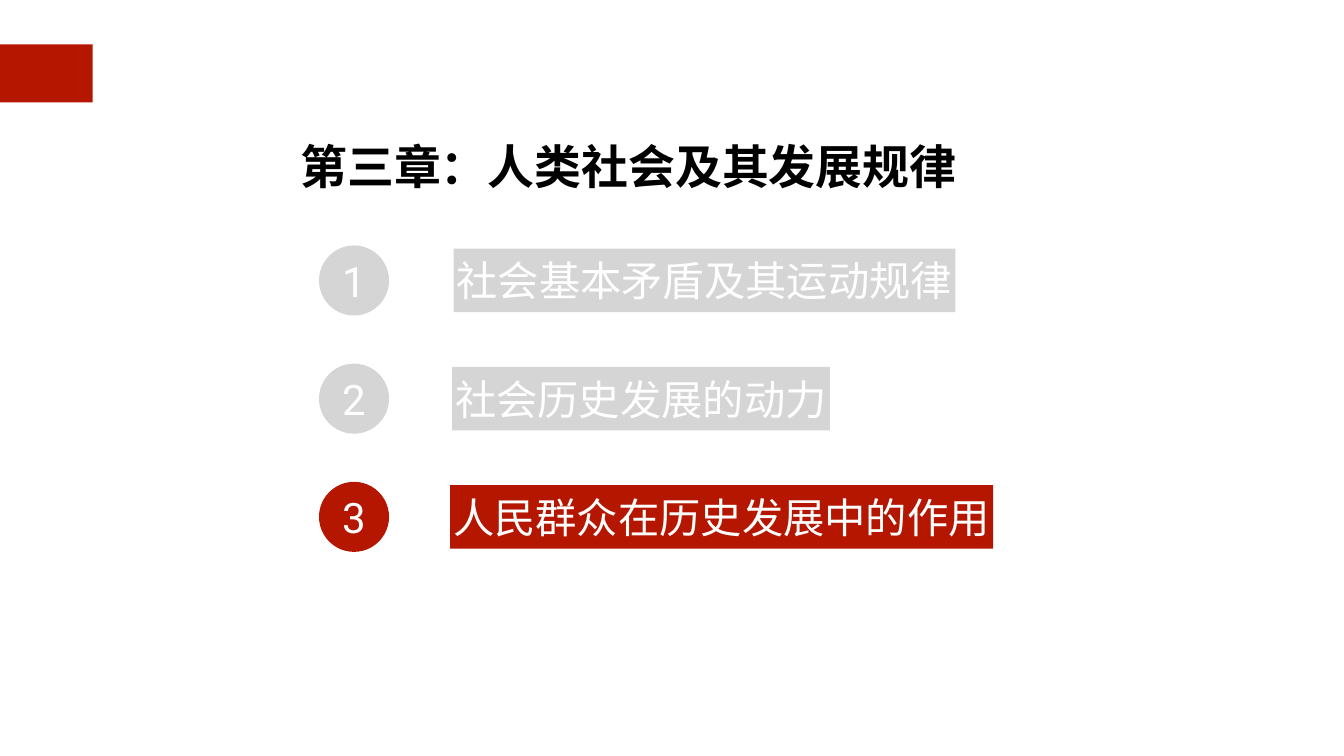
from pptx import Presentation
from pptx.dml.color import RGBColor
from pptx.enum.shapes import MSO_SHAPE
from pptx.enum.text import MSO_ANCHOR, MSO_AUTO_SIZE, PP_ALIGN
from pptx.oxml.ns import qn
from pptx.util import Inches, Pt

RED = RGBColor(0xB5, 0x16, 0x00)
GRAY = RGBColor(0xD5, 0xD5, 0xD5)
WHITE = RGBColor(0xFF, 0xFF, 0xFF)
BLACK = RGBColor(0x00, 0x00, 0x00)

PAGE_WIDTH, PAGE_HEIGHT = 26.67, 15
BANNER_HEIGHT = 1.26
CIRCLE_SIZE = 1.39
ROW_PITCH = 2.345
SECTIONS = [
    ("社会基本矛盾及其运动规律", 2.67, 9.96, GRAY),
    ("社会历史发展的动力", 2.64, 7.5, GRAY),
    ("人民群众在历史发展中的作用", 2.6, 10.78, RED),
]


def add_block(page, kind, box, fill):
    block = page.shapes.add_shape(kind, *[Inches(length) for length in box])
    block.shadow.inherit = False
    block.fill.solid()
    block.fill.fore_color.rgb = fill
    block.line.fill.background()
    return block


def write_text(shape, text, size, font="Roboto", color=WHITE, bold=False,
               align=PP_ALIGN.CENTER, inset=0.06, grow=True, spacing=None):
    frame = shape.text_frame
    frame.word_wrap = not grow
    frame.auto_size = MSO_AUTO_SIZE.SHAPE_TO_FIT_TEXT if grow else MSO_AUTO_SIZE.NONE
    frame.vertical_anchor = MSO_ANCHOR.MIDDLE
    frame.margin_left = frame.margin_right = Inches(inset)
    frame.margin_top = frame.margin_bottom = Inches(inset)
    para = frame.paragraphs[0]
    para.alignment = align
    para.line_spacing = spacing
    span = para.add_run()
    span.text = text
    span.font.size = Pt(size)
    span.font.bold = bold
    span.font.color.rgb = color
    span.font.name = font
    east_asian = span.font._element.makeelement(qn("a:ea"), {"typeface": font})
    span.font._element.find(qn("a:latin")).addnext(east_asian)


def add_title(page, box, text):
    title = page.shapes.add_textbox(*[Inches(length) for length in box])
    write_text(title, text, 67, font="Arial", color=BLACK, bold=True,
               align=PP_ALIGN.LEFT, spacing=1.5)


def add_agenda(page, left, top):
    for index, (name, offset, width, fill) in enumerate(SECTIONS):
        row_top = top + index * ROW_PITCH
        circle = add_block(page, MSO_SHAPE.OVAL,
                           (left, row_top, CIRCLE_SIZE, CIRCLE_SIZE), fill)
        write_text(circle, str(index + 1), 60, inset=0, grow=False)
        banner_top = row_top + (CIRCLE_SIZE - BANNER_HEIGHT) / 2
        banner = add_block(page, MSO_SHAPE.RECTANGLE,
                           (left + offset, banner_top, width, BANNER_HEIGHT), fill)
        write_text(banner, name, 59)


def main():
    deck = Presentation()
    deck.slide_width, deck.slide_height = Inches(PAGE_WIDTH), Inches(PAGE_HEIGHT)
    page = deck.slides.add_slide(deck.slide_layouts[6])
    add_block(page, MSO_SHAPE.RECTANGLE, (0, 0.88, 1.84, 1.15), RED)
    add_title(page, (5.9, 2.3, 13.15, 1.42), "第三章：人类社会及其发展规律")
    add_agenda(page, 6.33, 4.87)
    deck.save("out.pptx")


if __name__ == "__main__":
    main()
